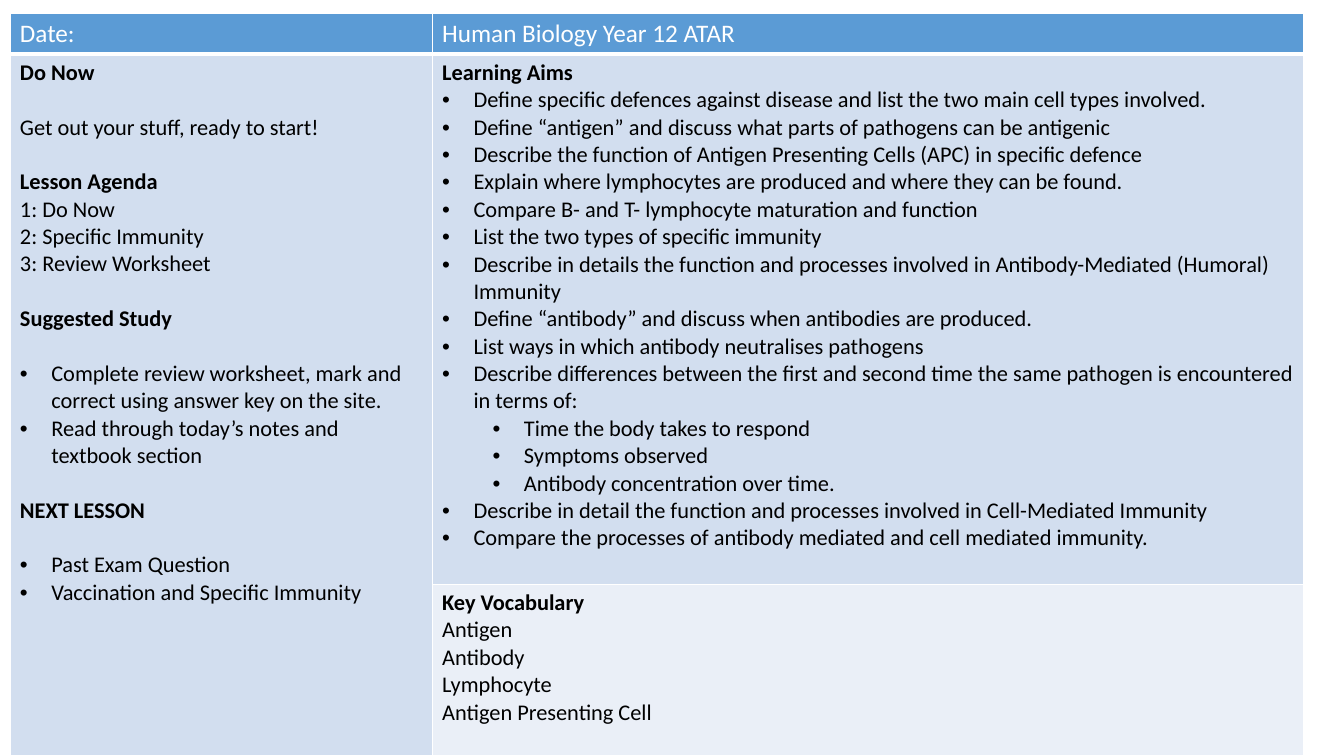
from lxml.etree import SubElement
from pptx import Presentation
from pptx.dml.color import RGBColor
from pptx.oxml.ns import qn
from pptx.util import Cm, Pt

COLORS = {"header": "5B9BD5", "band": "D2DEEF", "light": "EAEFF7",
          "white": "FFFFFF", "black": "000000"}
FONT = "Calibri"
BODY_LINE = Pt(19.5)  # height of one line of body text
BULLET_INDENT, LEVEL_STEP = Cm(0.79), Cm(1.27)

# Paragraph = (style, text, lines of space before)
HEADERS = ["Date:", "Human Biology Year 12 ATAR"]
AGENDA = [
    ("head", "Do Now", 0),
    ("plain", "Get out your stuff, ready to start!", 1),
    ("head", "Lesson Agenda", 1),
    ("plain", "1: Do Now", 0),
    ("plain", "2: Specific Immunity", 0),
    ("plain", "3: Review Worksheet", 0),
    ("head", "Suggested Study", 1),
    ("bullet", "Complete review worksheet, mark and correct using answer key on the site.", 1),
    ("bullet", "Read through today’s notes and textbook section", 0),
    ("head", "NEXT LESSON", 1),
    ("bullet", "Past Exam Question", 1),
    ("bullet", "Vaccination and Specific Immunity", 0),
]
AIMS = [
    ("head", "Learning Aims", 0),
    ("bullet", "Define specific defences against disease and list the two main cell types involved.", 0),
    ("bullet", "Define “antigen” and discuss what parts of pathogens can be antigenic", 0),
    ("bullet", "Describe the function of Antigen Presenting Cells (APC) in specific defence", 0),
    ("bullet", "Explain where lymphocytes are produced and where they can be found.", 0),
    ("bullet", "Compare B- and T- lymphocyte maturation and function", 0),
    ("bullet", "List the two types of specific immunity", 0),
    ("bullet", "Describe in details the function and processes involved in "
               "Antibody-Mediated (Humoral) Immunity", 0),
    ("bullet", "Define “antibody” and discuss when antibodies are produced.", 0),
    ("bullet", "List ways in which antibody neutralises pathogens", 0),
    ("bullet", "Describe differences between the first and second time the same "
               "pathogen is encountered in terms of:", 0),
    ("sub", "Time the body takes to respond", 0),
    ("sub", "Symptoms observed", 0),
    ("sub", "Antibody concentration over time.", 0),
    ("bullet", "Describe in detail the function and processes involved in Cell-Mediated Immunity", 0),
    ("bullet", "Compare the processes of antibody mediated and cell mediated immunity.", 0),
]
VOCABULARY = [
    ("head", "Key Vocabulary", 0),
    ("plain", "Antigen", 0),
    ("plain", "Antibody", 0),
    ("plain", "Lymphocyte", 0),
    ("plain", "Antigen Presenting Cell", 0),
]
COLUMNS = [Cm(10.64), Cm(21.97)]
ROWS = [Cm(1.03), Cm(13.36), Cm(4.33)]


def rgb(name):
    return RGBColor.from_string(COLORS[name])


def set_borders(cell, bottom=1):
    tc_pr = cell._tc.get_or_add_tcPr()
    for side, width in (("L", 1), ("R", 1), ("T", 1), ("B", bottom)):
        line = SubElement(tc_pr, qn(f"a:ln{side}"), w=str(Pt(width)))
        fill = SubElement(line, qn("a:solidFill"))
        SubElement(fill, qn("a:srgbClr"), val=COLORS["white"])


def add_bullet(p, level):
    p.level = level
    p_pr = p._p.get_or_add_pPr()
    p_pr.set("marL", str(BULLET_INDENT + level * LEVEL_STEP))
    p_pr.set("indent", str(-BULLET_INDENT))
    SubElement(p_pr, qn("a:buFont"), typeface="Arial")
    SubElement(p_pr, qn("a:buChar"), char="•")


def fill_cell(cell, paragraphs, fill, color="black", size=16):
    cell.fill.solid()
    cell.fill.fore_color.rgb = rgb(fill)
    tf = cell.text_frame
    for i, (style, text, gap) in enumerate(paragraphs):
        p = tf.add_paragraph() if i else tf.paragraphs[0]
        p.text = text
        if gap:
            p.space_before = gap * BODY_LINE
        if style in ("bullet", "sub"):
            add_bullet(p, int(style == "sub"))
        font = p.runs[0].font
        font.name, font.size, font.bold = FONT, Pt(size), style == "head"
        font.color.rgb = rgb(color)


def main():
    prs = Presentation()
    prs.slide_width, prs.slide_height = Cm(33.87), Cm(19.05)
    s = prs.slides.add_slide(prs.slide_layouts[6])
    table = s.shapes.add_table(len(ROWS), len(COLUMNS), Cm(0.25), Cm(0.33),
                               sum(COLUMNS), sum(ROWS)).table
    for column, width in zip(table.columns, COLUMNS):
        column.width = width
    for r, height in enumerate(ROWS):
        table.rows[r].height = height
        for cell in table.rows[r].cells:
            set_borders(cell, bottom=1 if r else 3)

    for c, text in enumerate(HEADERS):
        fill_cell(table.cell(0, c), [("plain", text, 0)], "header", "white", 18)
    table.cell(1, 0).merge(table.cell(2, 0))
    fill_cell(table.cell(1, 0), AGENDA, "band")
    fill_cell(table.cell(1, 1), AIMS, "band")
    fill_cell(table.cell(2, 1), VOCABULARY, "light")
    prs.save("out.pptx")


if __name__ == "__main__":
    main()
